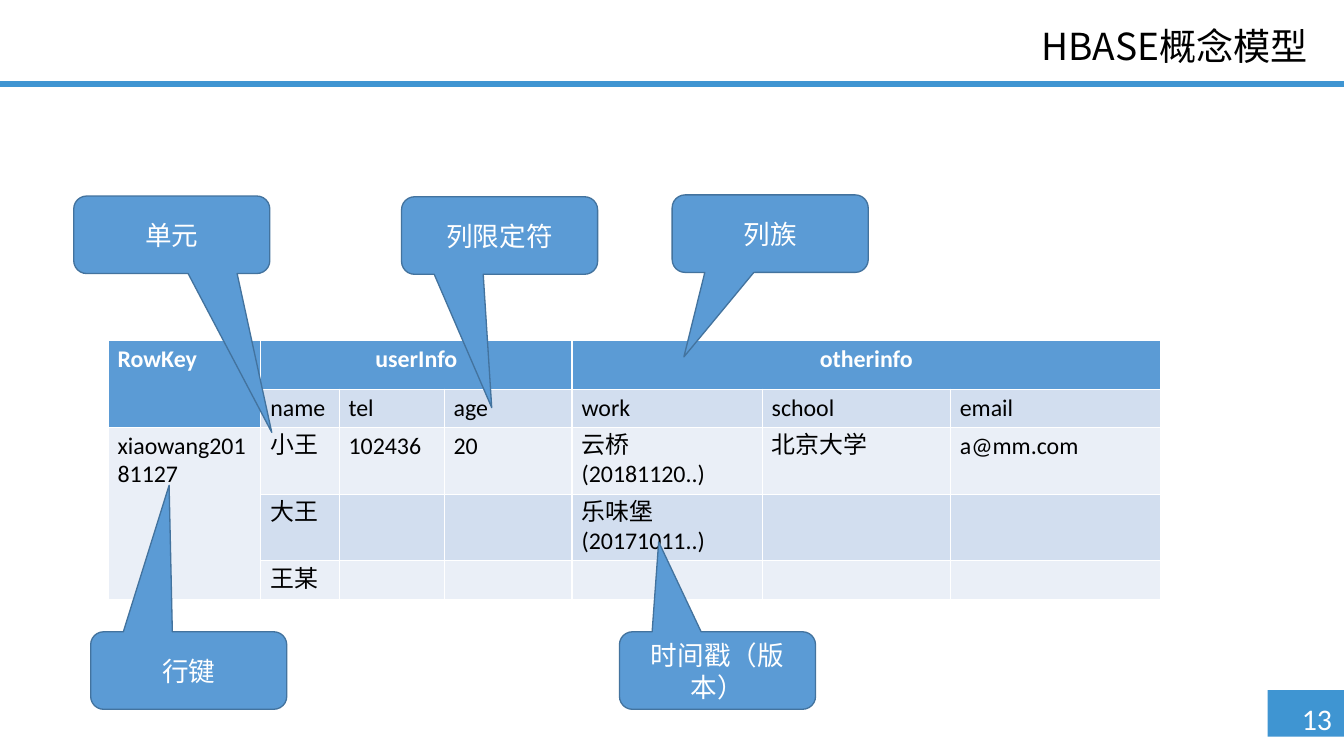
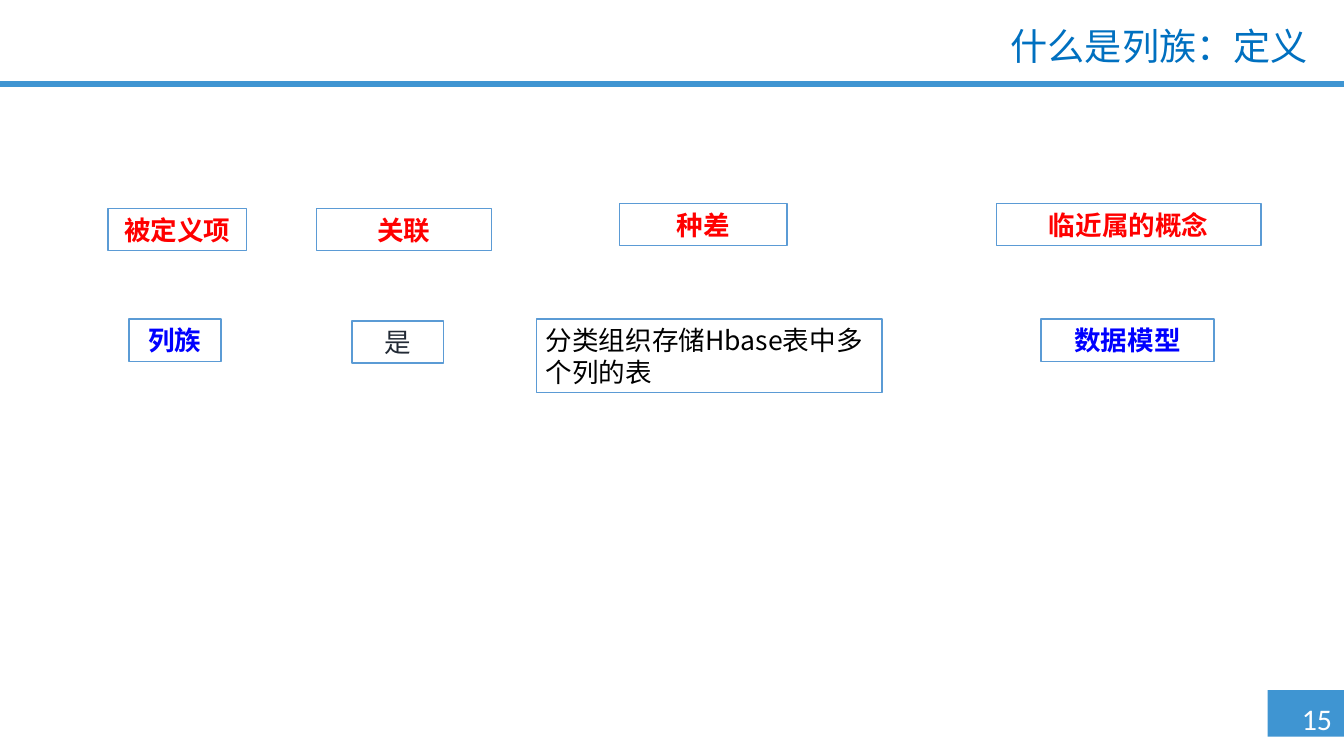
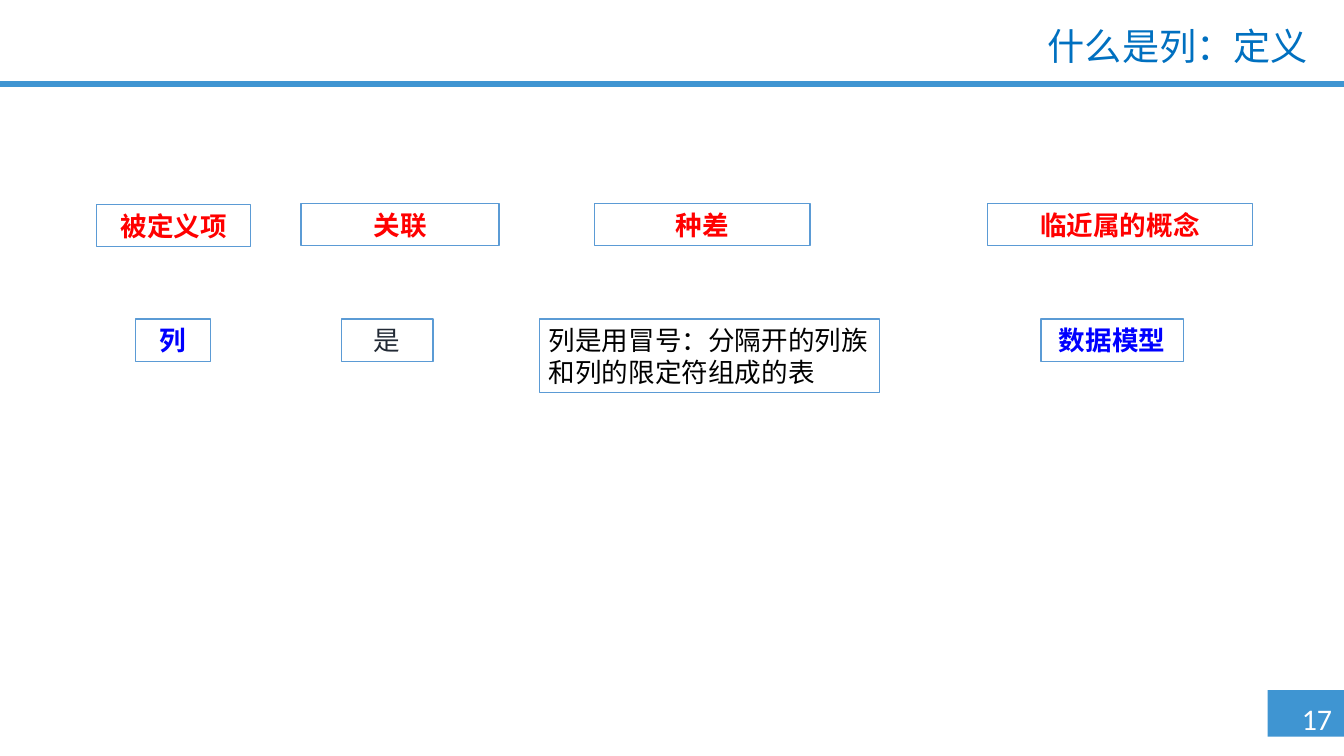
from collections import namedtuple

from lxml.etree import SubElement
from pptx import Presentation
from pptx.dml.color import RGBColor
from pptx.enum.shapes import MSO_SHAPE
from pptx.enum.text import MSO_ANCHOR, MSO_AUTO_SIZE, PP_ALIGN
from pptx.oxml.ns import qn
from pptx.util import Cm, Pt

COLORS = {
    "band": "3F95D2",
    "accent": "5B9BD5",
    "callout_line": "43739E",
    "row_dark": "D2DEEF",
    "row_light": "EAEFF7",
    "white": "FFFFFF",
    "black": "000000",
    "title_blue": "0070C0",
    "red": "FF0000",
    "blue": "0000FF",
    "slate": "222A35",
}
LATIN = "Calibri"
CHINESE = "Noto Sans CJK SC"
SLIDE_WIDTH, SLIDE_HEIGHT = 35.71, 20.09

Box = namedtuple("Box", "left top width height")
Term = namedtuple("Term", "text left drop width")

CONCEPT_AREA = Box(1.96, 5.18, 30, 14)
DEFINITION_AREA = Box(2.57, 5.41, 31, 6)


def color(name):
    return RGBColor.from_string(COLORS[name])


def lengths(box):
    return [Cm(value) for value in box]


def inside(area, left, top, width, height):
    return Box(area.left + left, area.top + top, width, height)


def style(para, size, ink, font=CHINESE, bold=False, align=PP_ALIGN.LEFT, spacing=None):
    para.alignment = align
    if spacing:
        para.line_spacing = Pt(spacing)
    para.font.size = Pt(size)
    para.font.bold = bold
    para.font.color.rgb = color(ink)
    para.font.name = font
    east_asian = SubElement(para.font._element, qn("a:ea"))
    east_asian.set("typeface", CHINESE)


def add_panel(page, kind, box, fill, line=None):
    panel = page.shapes.add_shape(kind, *lengths(box))
    panel.shadow.inherit = False
    panel.fill.solid()
    panel.fill.fore_color.rgb = color(fill)
    if line:
        panel.line.color.rgb = color(line)
        panel.line.width = Pt(1)
    else:
        panel.line.fill.background()
    return panel


def add_page(deck, title, number, ink):
    """Add a slide with the shared band, corner number and title."""
    page = deck.slides.add_slide(deck.slide_layouts[5])
    add_panel(page, MSO_SHAPE.RECTANGLE, Box(33.68, 18.34, 2.03, 1.24), "band")
    add_panel(page, MSO_SHAPE.RECTANGLE, Box(0, 2.16, SLIDE_WIDTH, 0.15), "band")

    number_box = page.shapes.add_textbox(*lengths(Box(34.34, 18.49, 1.37, 1.22)))
    number_box.text_frame.word_wrap = False
    number_box.text_frame.text = number
    style(number_box.text_frame.paragraphs[0], 22.5, "white", LATIN)

    heading = page.shapes.title
    heading.left, heading.top, heading.width, heading.height = lengths(
        Box(24.05, 0.56, 10.95, 1.45))
    frame = heading.text_frame
    frame.auto_size = MSO_AUTO_SIZE.NONE
    frame.vertical_anchor = MSO_ANCHOR.TOP
    frame.text = title
    style(frame.paragraphs[0], 28, ink, align=PP_ALIGN.RIGHT, spacing=32)
    return page


def add_model_table(page, area):
    rows = [
        ["RowKey", "userInfo", "", "", "otherinfo", "", ""],
        ["", "name", "tel", "age", "work", "school", "email"],
        ["xiaowang20181127", "小王", "102436", "20", "云桥(20181120..)",
         "北京大学", "a@mm.com"],
        ["", "大王", "", "", "乐味堡(20171011..)", "", ""],
        ["", "王某", "", "", "", "", ""],
    ]
    widths = [4.06, 2.08, 2.79, 3.4, 5.05, 5, 5.59]
    heights = [1.3, 1.02, 1.77, 1.77, 1.04]
    box = inside(area, 0.91, 3.86, sum(widths), sum(heights))
    table = page.shapes.add_table(len(rows), len(widths), *lengths(box)).table
    for column, width in zip(table.columns, widths):
        column.width = Cm(width)
    for row, height in zip(table.rows, heights):
        row.height = Cm(height)

    for r, texts in enumerate(rows):
        for c, text in enumerate(texts):
            cell = table.cell(r, c)
            is_head = r == 0
            cell.fill.solid()
            cell.fill.fore_color.rgb = color(
                "accent" if is_head else "row_dark" if r % 2 else "row_light")
            cell.text = text
            style(cell.text_frame.paragraphs[0], 18, "white" if is_head else "black",
                  LATIN, is_head,
                  PP_ALIGN.CENTER if is_head and c else PP_ALIGN.LEFT, 21.5)

    for first, last in [((0, 0), (1, 0)), ((0, 1), (0, 3)),
                        ((0, 4), (0, 6)), ((2, 0), (4, 0))]:
        table.cell(*first).merge(table.cell(*last))


def add_callouts(page, area):
    callouts = [
        ("列限定符", 8.71, 0.05, -0.04, 2.22),
        ("列族", 15.9, 0, -0.44, 1.59),
        ("行键", 0.45, 11.61, -0.1, -2.39),
        ("时间戳（版本）", 14.5, 11.61, -0.3, -1.66),
        ("单元", 0, 0.03, 0.51, 2.55),
    ]
    for text, left, top, tip_x, tip_y in callouts:
        callout = add_panel(page, MSO_SHAPE.ROUNDED_RECTANGULAR_CALLOUT,
                            inside(area, left, top, 5.21, 2.06),
                            "accent", "callout_line")
        callout.adjustments[0] = tip_x
        callout.adjustments[1] = tip_y
        callout.text_frame.text = text
        style(callout.text_frame.paragraphs[0], 20, "white", LATIN,
              align=PP_ALIGN.CENTER, spacing=24)


def add_term(page, area, term, ink, bold=True, lines=1, align=PP_ALIGN.CENTER):
    box = inside(area, term.left, term.drop, term.width, 0.28 + 0.84 * lines)
    panel = add_panel(page, MSO_SHAPE.RECTANGLE, box, "white", "accent")
    panel.text_frame.text = term.text
    style(panel.text_frame.paragraphs[0], 20, ink, bold=bold, align=align, spacing=24)


def add_definition(page, area, heads, parts):
    """Place the four red headings and, below them, the parts of the definition."""
    for head in heads:
        add_term(page, area, head, "red")
    lower = inside(area, 0, 3.07, area.width, area.height - 3.07)
    subject, link, difference, genus = parts
    add_term(page, lower, subject, "blue")
    add_term(page, lower, link, "slate", bold=False)
    add_term(page, lower, difference, "black", bold=False, lines=2, align=PP_ALIGN.LEFT)
    add_term(page, lower, genus, "blue")


def main():
    deck = Presentation()
    deck.slide_width, deck.slide_height = Cm(SLIDE_WIDTH), Cm(SLIDE_HEIGHT)

    page = add_page(deck, "HBASE概念模型", "13", "black")
    add_model_table(page, CONCEPT_AREA)
    add_callouts(page, CONCEPT_AREA)

    page = add_page(deck, "什么是列族：定义", "15", "title_blue")
    add_definition(
        page, DEFINITION_AREA,
        [Term("被定义项", 0.3, 0.13, 3.68), Term("关联", 5.84, 0.13, 4.65),
         Term("种差", 13.89, 0, 4.45), Term("临近属的概念", 23.9, 0, 7.04)],
        [Term("列族", 0.86, 0, 2.44), Term("是", 6.78, 0.05, 2.44),
         Term("分类组织存储Hbase表中多个列的表", 11.68, 0, 9.19),
         Term("数据模型", 25.09, 0, 4.6)])

    page = add_page(deck, "什么是列：定义", "17", "title_blue")
    add_definition(
        page, DEFINITION_AREA,
        [Term("被定义项", 0, 0.03, 4.09), Term("关联", 5.43, 0, 5.26),
         Term("种差", 13.23, 0, 5.72), Term("临近属的概念", 23.67, 0, 7.04)],
        [Term("列", 1.04, 0, 1.98), Term("是", 6.5, 0, 2.44),
         Term("列是用冒号：分隔开的列族和列的限定符组成的表", 11.76, 0, 9.04),
         Term("数据模型", 25.09, 0, 3.78)])

    deck.save("out.pptx")


if __name__ == "__main__":
    main()
